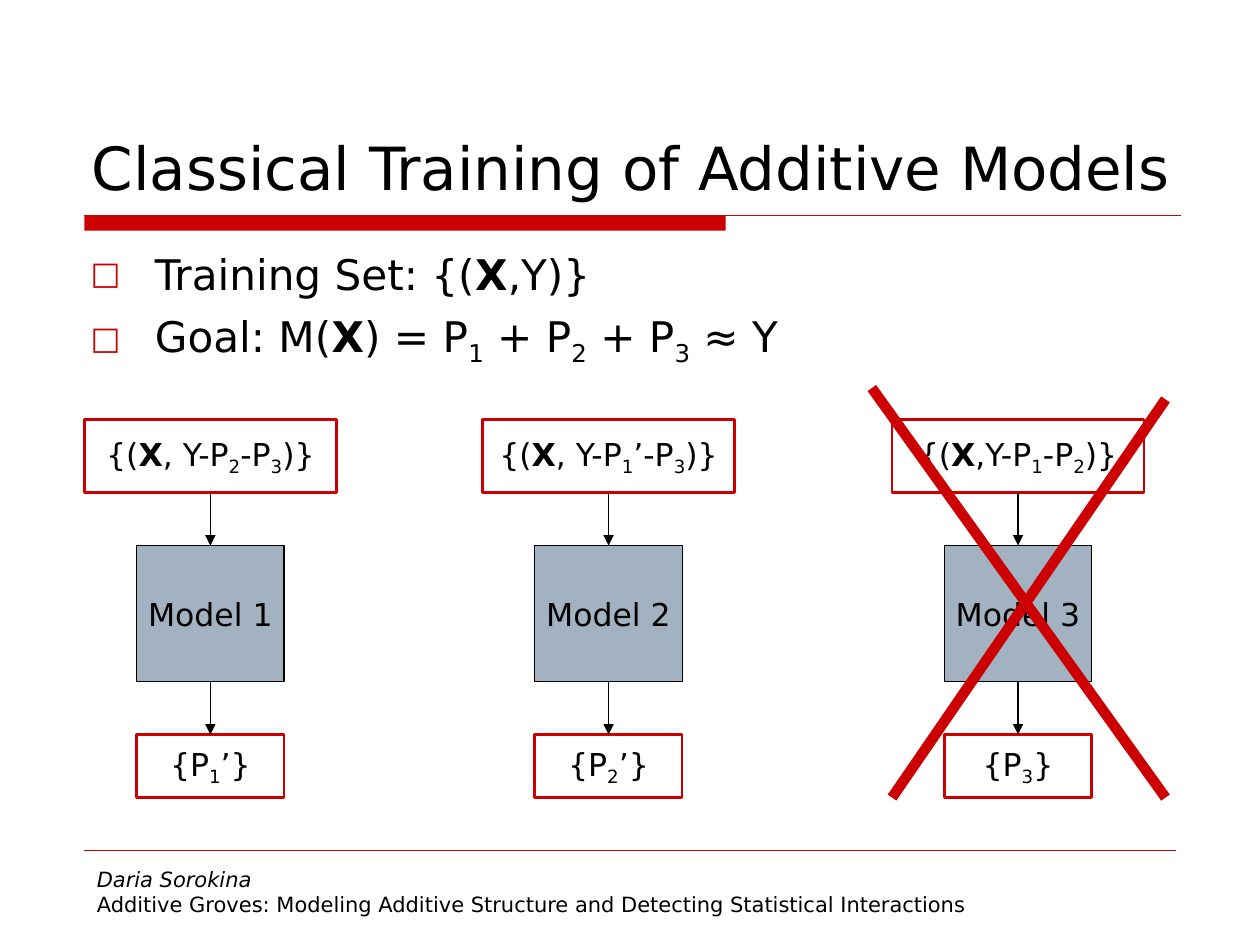
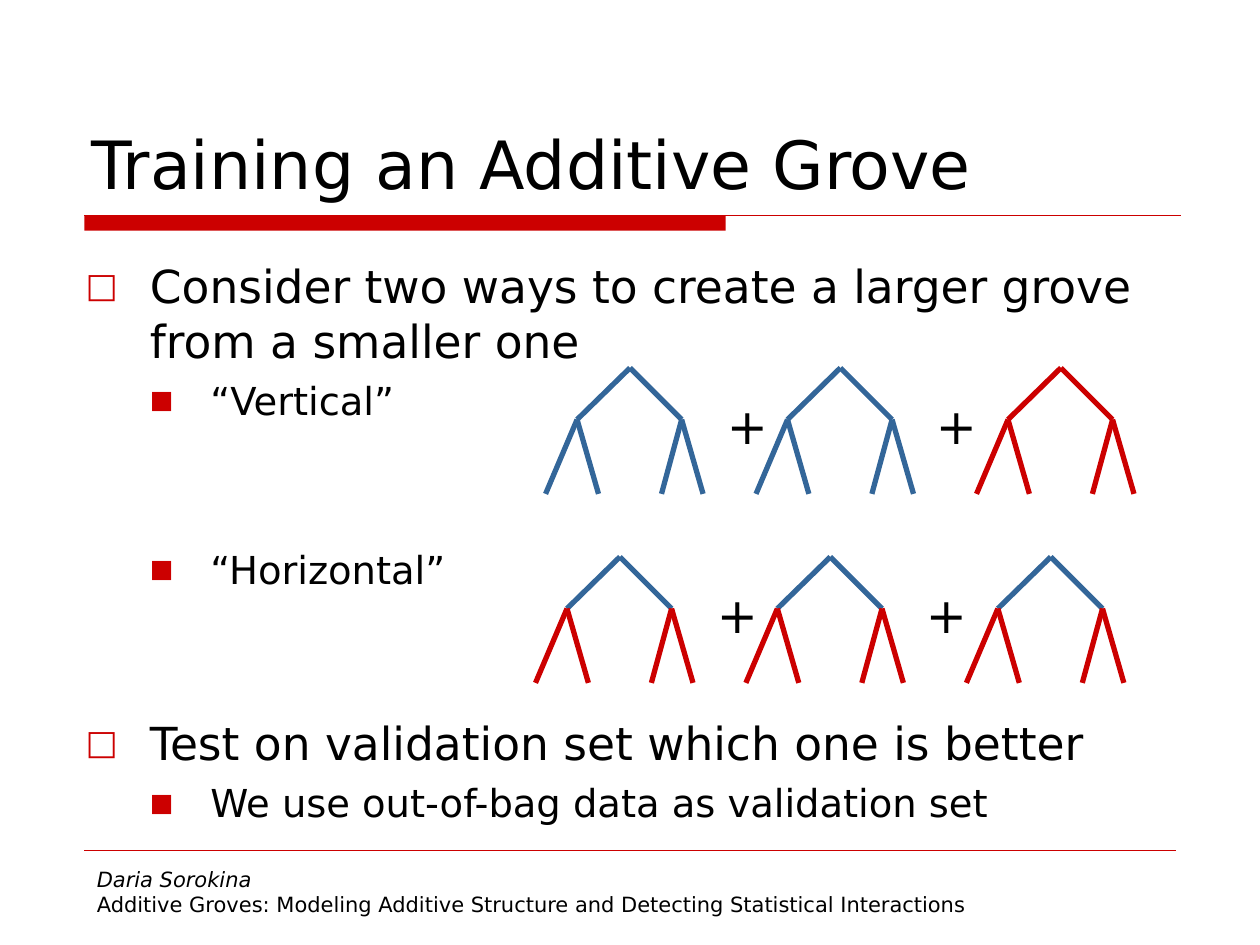
import pptx
import pptx.dml.color
import pptx.enum.dml
import pptx.enum.shapes
import pptx.enum.text
import pptx.oxml.ns
import pptx.util
from lxml import etree
from pptx.util import Inches

FONT = "DejaVu Sans"
RED, BLUE, SLATE = "CC0000", "336699", "A3B2C1"
BLACK, WHITE = "000000", "FFFFFF"
ALIGN = pptx.enum.text.PP_ALIGN
ANCHOR = pptx.enum.text.MSO_ANCHOR

# Bullet formats by list level
BULLETS = [
    {"char": "□", "size": 75, "margin": 0.51, "indent": -0.51},
    {"char": "■", "size": 65, "margin": 0.99, "indent": -0.48},
]


def color(hex_code):
    return pptx.dml.color.RGBColor.from_string(hex_code)


def apply(target, values):
    for name, value in values.items():
        setattr(target, name, value)


def add_xml(parent, tag, **attributes):
    return etree.SubElement(parent, pptx.oxml.ns.qn(tag), attributes)


# ---- Text ----
def write(paragraph, markup, size, italic=False):
    """Parts are split by |; a leading * makes bold, a leading _ subscript."""
    for part in markup.split("|"):
        run = paragraph.add_run()
        run.text = part.lstrip("*_")
        apply(run.font, {"name": FONT, "size": pptx.util.Pt(size),
                         "bold": part.startswith("*"), "italic": italic})
        run.font.color.rgb = color(BLACK)
        if part.startswith("_"):
            run.font._element.set("baseline", "-25000")


def set_bullet(paragraph, level):
    bullet = BULLETS[level]
    props = paragraph._p.get_or_add_pPr()
    props.set("marL", str(Inches(bullet["margin"])))
    props.set("indent", str(Inches(bullet["indent"])))
    add_xml(add_xml(props, "a:buClr"), "a:srgbClr", val=RED)
    add_xml(props, "a:buSzPct", val=str(bullet["size"] * 1000))
    add_xml(props, "a:buFont", typeface=FONT)
    add_xml(props, "a:buChar", char=bullet["char"])


def place(shape, box):
    apply(shape, dict(zip(("left", "top", "width", "height"), map(Inches, box))))


def add_label(slide, box, lines, size):
    """Text box from (markup, italic) lines."""
    frame = slide.shapes.add_textbox(*map(Inches, box)).text_frame
    frame.word_wrap = True
    for i, (markup, italic) in enumerate(lines):
        paragraph = frame.add_paragraph() if i else frame.paragraphs[0]
        write(paragraph, markup, size, italic)


# ---- Shapes ----
def add_line(slide, start, end, hue, width, arrow=False):
    line = slide.shapes.add_connector(
        pptx.enum.shapes.MSO_CONNECTOR.STRAIGHT, *map(Inches, (*start, *end)))
    line.line.color.rgb = color(hue)
    line.line.width = pptx.util.Pt(width)
    if arrow:
        add_xml(line.line._get_or_add_ln(), "a:tailEnd", type="triangle")
    add_xml(line._element.spPr, "a:effectLst")


def add_box(slide, box, fill, outline=None, width=0.75, markup=""):
    shape = slide.shapes.add_shape(
        pptx.enum.shapes.MSO_SHAPE.RECTANGLE, *map(Inches, box))
    shape.shadow.inherit = False
    shape.fill.solid()
    shape.fill.fore_color.rgb = color(fill)
    if outline:
        shape.line.color.rgb = color(outline)
        shape.line.width = pptx.util.Pt(width)
    else:
        shape.line.fill.background()
    if markup:
        apply(shape.text_frame, {"word_wrap": False,
                                 "vertical_anchor": ANCHOR.MIDDLE})
        paragraph = shape.text_frame.paragraphs[0]
        paragraph.alignment = ALIGN.CENTER
        write(paragraph, markup, 18)


# ---- Shared slide frame ----
def add_title(slide, text, size, box):
    title = slide.shapes.title
    place(title, box)
    apply(title.text_frame, {"vertical_anchor": ANCHOR.BOTTOM, "word_wrap": True,
                             "auto_size": pptx.enum.text.MSO_AUTO_SIZE.NONE})
    paragraph = title.text_frame.paragraphs[0]
    paragraph.alignment = ALIGN.LEFT
    write(paragraph, text, size)


def add_band(slide, left, top):
    add_box(slide, (left, top, 5.09, 0.12), RED)
    add_line(slide, (left, top), (left + 8.7, top), RED, 0.75)


def add_footer(slide, left, top):
    add_line(slide, (left, top), (left + 8.66, top), RED, 0.25)
    add_label(slide, (left, top + 0.08, 8, 0.52), [
        ("Daria Sorokina", True),
        ("Additive Groves: Modeling Additive Structure and Detecting "
         "Statistical Interactions", False)], 12)


def add_list(slide, box, items):
    """Items are (level, size, space before, markup)."""
    body = slide.placeholders[1]
    place(body, box)
    frame = body.text_frame
    apply(frame, {"vertical_anchor": ANCHOR.TOP, "word_wrap": True,
                  "auto_size": pptx.enum.text.MSO_AUTO_SIZE.NONE})
    for i, (level, size, before, markup) in enumerate(items):
        paragraph = frame.add_paragraph() if i else frame.paragraphs[0]
        apply(paragraph, {"level": level, "space_before": pptx.util.Pt(before),
                          "alignment": ALIGN.LEFT})
        set_bullet(paragraph, level)
        write(paragraph, markup, size)


def new_slide(deck, title, size, title_box, list_box, items):
    slide = deck.slides.add_slide(deck.slide_layouts[1])
    add_band(slide, 0.67, 1.71)
    add_footer(slide, 0.67, 6.75)
    add_title(slide, title, size, title_box)
    add_list(slide, list_box, items)
    return slide


# ---- Model column: residual data, model, predictions ----
def add_model_column(slide, left, top, data, model, prediction):
    middle, narrow = left + 1, left + 0.415
    add_box(slide, (left, top, 2, 0.58), WHITE, RED, 1.5, data)
    add_box(slide, (narrow, top + 1, 1.17, 1.08), SLATE, BLACK, 0.75, model)
    add_box(slide, (narrow, top + 2.5, 1.17, 0.5), WHITE, RED, 1.5, prediction)
    for start, end in ((0.58, 1), (2.08, 2.5)):
        add_line(slide, (middle, top + start), (middle, top + end),
                 BLACK, 0.75, arrow=True)


def add_cross(slide, left, top):
    add_line(slide, (left + 2.33, top + 0.09), (left + 0.16, top + 3.25), RED, 6)
    add_line(slide, (left, top), (left + 2.33, top + 3.25), RED, 6)


# ---- Grove: a row of trees joined by plus signs ----
def add_tree(slide, left, top, branch_hue, leaf_hue):
    root = (left + 0.67, top)
    for fork_x, leaves in ((0.25, (0, 0.42)), (1.08, (0.92, 1.25))):
        fork = (left + fork_x, top + 0.41)
        add_line(slide, root, fork, branch_hue, 3)
        for leaf_x in leaves:
            add_line(slide, fork, (left + leaf_x, top + 1), leaf_hue, 3)


def add_grove(slide, left, top, hues):
    for offset, (branch_hue, leaf_hue) in zip((0, 1.67, 3.42), hues):
        add_tree(slide, left + offset, top, branch_hue, leaf_hue)
    for offset in (1.34, 3):
        add_label(slide, (left + offset, top + 0.17, 0.58, 0.57),
                  [("+", False)], 28)


# ---- Slides ----
def classical_training(deck):
    slide = new_slide(
        deck, "Classical Training of Additive Models", 34,
        (0.63, 0.33, 8.96, 1.33), (0.62, 1.92, 8.75, 1.08),
        [(0, 24.1, 0, "Training Set: {(|*X|,Y)}"),
         (0, 24.1, 6.5, "Goal: M(|*X|) = P|_1| + P|_2| + P|_3| ≈ Y")])
    columns = [
        (0.67, "{(|*X|, Y-P|_2|-P|_3|)}", "Model 1", "{P|_1|’}"),
        (3.83, "{(|*X|, Y-P|_1|’-P|_3|)}", "Model 2", "{P|_2|’}"),
        (7.08, "{(|*X|,Y-P|_1|-P|_2|)}", "Model 3", "{P|_3|}"),
    ]
    for left, data, model, prediction in columns:
        add_model_column(slide, left, 3.33, data, model, prediction)
    add_cross(slide, 6.92, 3.08)


def grove_training(deck):
    slide = new_slide(
        deck, "Training an Additive Grove", 38,
        (0.63, 0.33, 8.75, 1.33), (0.58, 2, 8.75, 4.67),
        [(0, 26, 0, "Consider two ways to create a larger grove "
                    "from a smaller one"),
         (1, 22, 5.5, "“Vertical”"),
         (1, 22, 70, "“Horizontal”"),
         (0, 26, 70.5, "Test on validation set which one is better"),
         (1, 22, 5.5, "We use out-of-bag data as validation set")])
    add_grove(slide, 4.33, 2.92, [(BLUE, BLUE), (BLUE, BLUE), (RED, RED)])
    add_grove(slide, 4.25, 4.42, [(BLUE, RED)] * 3)


def main():
    deck = pptx.Presentation()
    apply(deck, {"slide_width": Inches(10), "slide_height": Inches(7.5)})
    classical_training(deck)
    grove_training(deck)
    deck.save("out.pptx")


if __name__ == "__main__":
    main()
